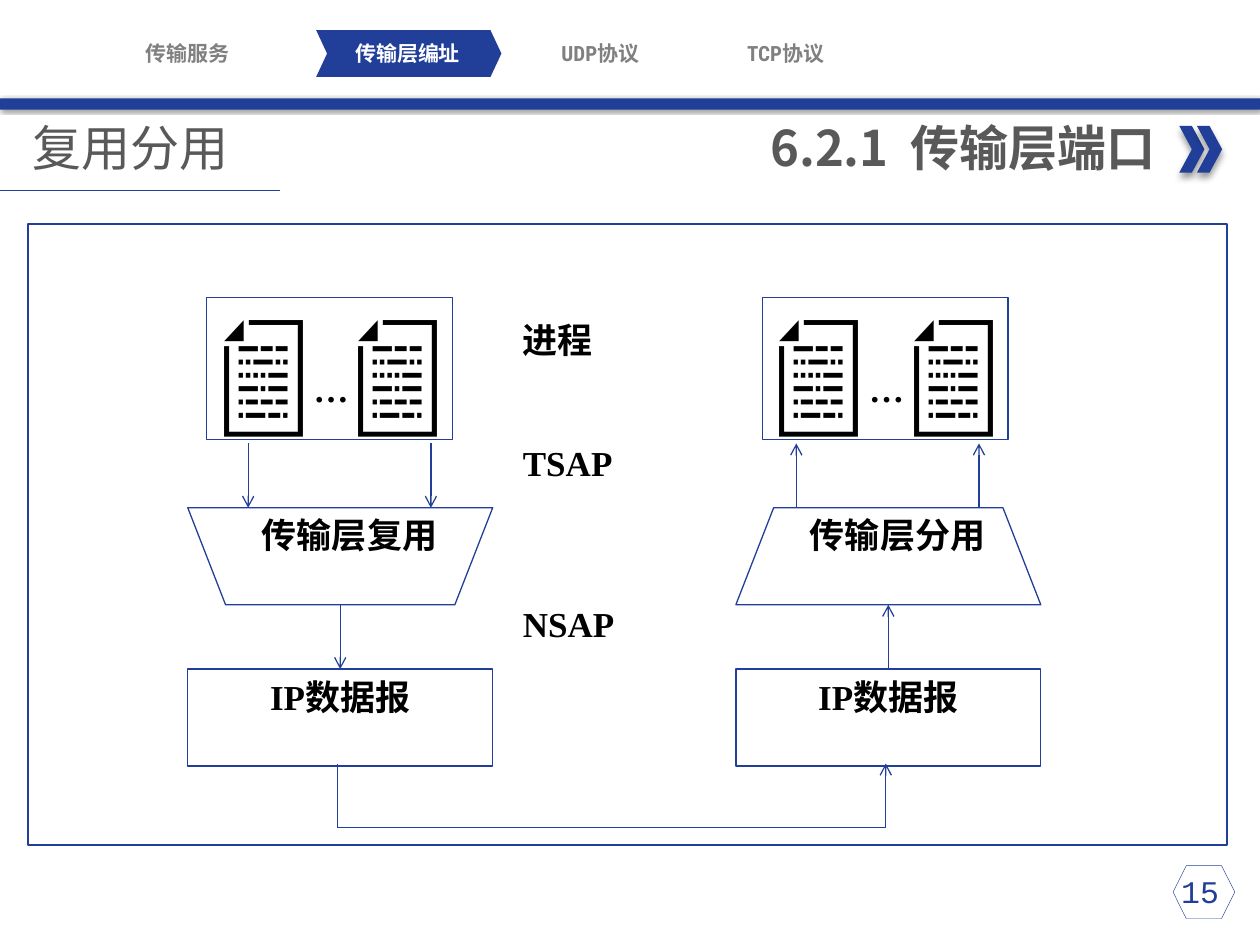
from lxml import etree
from pptx import Presentation
from pptx.dml.color import RGBColor
from pptx.enum.shapes import MSO_CONNECTOR as Connector, MSO_SHAPE as Preset
from pptx.enum.text import MSO_ANCHOR as Anchor, PP_ALIGN as Align
from pptx.oxml.ns import qn
from pptx.util import Inches, Pt

BLUE = RGBColor(0x21, 0x3F, 0x99)
BLACK = RGBColor(0, 0, 0)
WHITE = RGBColor(0xFF, 0xFF, 0xFF)
DARK_GRAY = RGBColor(0x59, 0x59, 0x59)
GRAY = RGBColor(0x80, 0x80, 0x80)
CJK = "Noto Sans CJK SC"
SERIF = "Times New Roman"


def inches(*values):
    return [Inches(value) for value in values]


def write(shape, text, size, font=SERIF, color=BLACK, bold=True,
          align=Align.LEFT, anchor=Anchor.TOP, wrap=True, inset=None):
    frame = shape.text_frame
    frame.text = text
    frame.word_wrap = wrap
    frame.vertical_anchor = anchor
    if inset is not None:
        frame.margin_left = frame.margin_right = Inches(inset)
        frame.margin_top = frame.margin_bottom = 0
    paragraph = frame.paragraphs[0]
    paragraph.alignment = align
    run = paragraph.runs[0]
    run.font.name, run.font.size = font, Pt(size)
    run.font.bold, run.font.color.rgb = bold, color
    east_asian = etree.SubElement(run.font._element, qn("a:ea"))
    east_asian.set("typeface", CJK)


def add_text(slide, box, text, size, **style):
    write(slide.shapes.add_textbox(*inches(*box)), text, size, **style)


def paint(shape, fill=None, line_width=None):
    shape.shadow.inherit = False
    if fill is None:
        shape.fill.background()
    else:
        shape.fill.solid()
        shape.fill.fore_color.rgb = fill
    if line_width is None:
        shape.line.fill.background()
    else:
        shape.line.color.rgb = BLUE
        shape.line.width = Pt(line_width)


def add_preset(shapes, preset, box, fill=None, line_width=None):
    shape = shapes.add_shape(preset, *inches(*box))
    paint(shape, fill, line_width)
    return shape


def cast_shadow(shape, blur, distance, angle):
    effects = shape._element.spPr.find(qn("a:effectLst"))
    shadow = etree.SubElement(effects, qn("a:outerShdw"), blurRad=str(Pt(blur)),
                              dist=str(Pt(distance)), dir=str(angle * 60000),
                              algn="t", rotWithShape="0")
    color = etree.SubElement(shadow, qn("a:srgbClr"), val="000000")
    etree.SubElement(color, qn("a:alpha"), val="40000")


def add_line(slide, start, end, width=0.75, arrow=True):
    line = slide.shapes.add_connector(Connector.STRAIGHT, *inches(*start, *end))
    line.line.color.rgb = BLUE
    line.line.width = Pt(width)
    if arrow:
        etree.SubElement(line.line._get_or_add_ln(), qn("a:tailEnd"), type="arrow")
    etree.SubElement(line._element.spPr, qn("a:effectLst"))


def add_navigation(slide, top):
    current = "传输层编址"
    marker = add_preset(slide.shapes, Preset.CHEVRON, (2.51, top, 1.47, 0.37), BLUE)
    marker.adjustments[0] = 0.234
    tabs = ((0.76, "传输服务"), (2.51, current), (4.04, "UDP协议"), (5.51, "TCP协议"))
    for left, label in tabs:
        add_text(slide, (left, top + 0.08, 1.45, 0.2), label, 12,
                 font="Roboto Condensed", color=WHITE if label == current else GRAY,
                 align=Align.CENTER, anchor=Anchor.MIDDLE, inset=0)


def add_heading(slide, top):
    bar = add_preset(slide.shapes, Preset.RECTANGLE, (0, top, 10, 0.09), BLUE)
    cast_shadow(bar, 2, 1, 45)
    # Double chevron beside the section title
    chevrons = slide.shapes.add_group_shape()
    for left in (9.36, 9.5):
        chevron = add_preset(chevrons.shapes, Preset.CHEVRON,
                             (left, top + 0.22, 0.2, 0.37), BLUE)
        cast_shadow(chevron, 4, 3, 90)
    add_text(slide, (0.76, top + 0.1, 8.51, 0.57), "6.2.1  传输层端口", 28,
             font=CJK, color=DARK_GRAY, align=Align.RIGHT)
    # Underlined topic
    add_text(slide, (0, top + 0.14, 2.59, 0.49), "复用分用", 28, font=CJK,
             color=DARK_GRAY, bold=False, anchor=Anchor.MIDDLE, inset=0.26)
    add_line(slide, (0, top + 0.73), (2.22, top + 0.73), 0.5, arrow=False)


def add_processes(slide, left, top):
    add_preset(slide.shapes, Preset.RECTANGLE, (left, top, 1.95, 1.13), line_width=0.75)
    for offset in (0, 1.07):
        add_text(slide, (left + offset, top - 0.12, 0.91, 1.31), "📄", 72, wrap=False)
    add_text(slide, (left + 0.75, top + 0.51, 0.48, 0.43), "…", 20, wrap=False)


def add_host(slide, left, top, label, sending):
    """Transport trapezoid above an IP box, with arrows along the data flow."""
    width, height, slant, gap = 2.42, 0.77, 0.3, 0.51
    bottom, right = top + height, left + width
    packet_top = bottom + gap

    def add_flow(x, upper, lower):
        ends = [(x, upper), (x, lower)]
        add_line(slide, *(ends if sending else reversed(ends)))

    for offset in (0.48, 1.93):
        add_flow(left + offset, top - gap, top)
    add_flow(left + width / 2, bottom, packet_top)

    # The trapezoid narrows towards the network when sending
    wide, narrow = (top, bottom) if sending else (bottom, top)
    corners = [(left, wide), (left + slant, narrow),
               (right - slant, narrow), (right, wide)]
    points = [tuple(inches(*corner)) for corner in corners]
    outline = slide.shapes.build_freeform(*points[0])
    outline.add_line_segments(points[1:], close=True)
    paint(outline.convert_to_shape(), line_width=0.75)
    add_text(slide, (left + 0.49, top, 1.69, height), label, 20)

    packet = add_preset(slide.shapes, Preset.RECTANGLE,
                        (left, packet_top, width, height), line_width=0.75)
    write(packet, "IP数据报", 20, align=Align.CENTER)


def add_diagram(slide, left, top, width, height):
    senders, receivers = left + 1.27, left + 5.62
    host_top = top + 2.25
    add_host(slide, senders, host_top, "传输层复用", sending=True)
    add_host(slide, receivers, host_top, "传输层分用", sending=False)
    for process_left in (left + 1.42, left + 5.83):
        add_processes(slide, process_left, top + 0.58)

    # Network path between the two IP boxes
    start, end = senders + 1.19, receivers + 1.19
    upper, lower = host_top + 2.03, host_top + 2.54
    add_line(slide, (start, upper), (start, lower), arrow=False)
    add_line(slide, (start, lower), (end, lower), arrow=False)
    add_line(slide, (end, lower), (end, upper))

    # Names of the layers' access points
    add_text(slide, (left + 3.83, top + 0.7, 0.97, 0.77), "进程", 20)
    for offset, label in ((1.72, "TSAP"), (3, "NSAP")):
        add_text(slide, (left + 3.93, top + offset, 0.8, 0.51), label, 20, inset=0)
    add_preset(slide.shapes, Preset.RECTANGLE, (left, top, width, height), line_width=1)


def add_page_number(slide, left, top):
    add_preset(slide.shapes, Preset.HEXAGON, (left, top, 0.49, 0.42), line_width=0.25)
    add_text(slide, (left - 0.22, top, 0.87, 0.4), "15", 18, font="Courier New",
             color=BLUE, bold=False, align=Align.CENTER)


def main():
    deck = Presentation()
    deck.slide_width, deck.slide_height = inches(10, 7.5)
    slide = deck.slides.add_slide(deck.slide_layouts[6])
    add_navigation(slide, 0.24)
    add_heading(slide, 0.78)
    add_diagram(slide, 0.22, 1.78, 9.52, 4.93)
    add_page_number(slide, 9.31, 6.87)
    deck.save("out.pptx")


if __name__ == "__main__":
    main()
